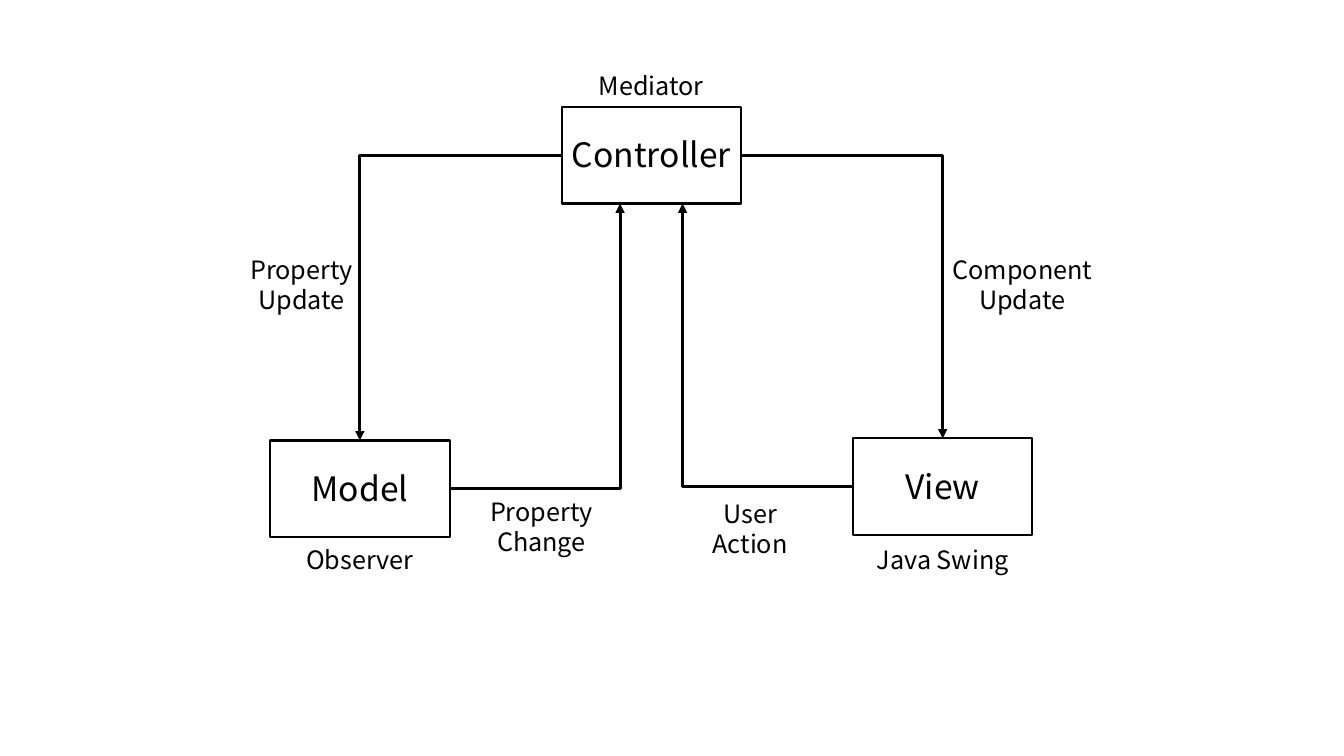
from lxml import etree
from pptx import Presentation
from pptx.dml.color import RGBColor
from pptx.enum.shapes import MSO_CONNECTOR, MSO_SHAPE
from pptx.enum.text import MSO_AUTO_SIZE, PP_ALIGN
from pptx.oxml.ns import qn
from pptx.util import Inches, Pt

COLORS = {"ink": "000000", "paper": "FFFFFF"}
FONT = "Noto Sans CJK SC"
BOX_WIDTH, BOX_HEIGHT = 1.78, 0.96
MIDDLE = 0.48  # from the top of a box to its side arrows


def color(name):
    return RGBColor.from_string(COLORS[name])


def add_text(slide, text, center, top, width=1.41, height=0.4, size=18):
    """Centred text, one paragraph for each line."""
    box = slide.shapes.add_textbox(Inches(center - width / 2), Inches(top),
                                   Inches(width), Inches(height))
    frame = box.text_frame
    frame.word_wrap = True
    frame.auto_size = MSO_AUTO_SIZE.SHAPE_TO_FIT_TEXT
    frame.text = text
    for paragraph in frame.paragraphs:
        paragraph.alignment = PP_ALIGN.CENTER
        paragraph.font.size = Pt(size)
        paragraph.font.name = FONT
        paragraph.font.color.rgb = color("ink")


def add_component(slide, left, top, name, role, role_top, role_width=1.41):
    """A named box with its role above or below it."""
    box = slide.shapes.add_shape(MSO_SHAPE.RECTANGLE, Inches(left), Inches(top),
                                 Inches(BOX_WIDTH), Inches(BOX_HEIGHT))
    box.shadow.inherit = False
    box.fill.background()
    box.line.color.rgb = color("ink")
    box.line.width = Pt(1.5)
    center = left + BOX_WIDTH / 2
    add_text(slide, name, center, top + 0.22, width=1.91, height=0.5, size=24)
    add_text(slide, role, center, role_top, width=role_width)


def add_bent_arrow(slide, start, end):
    """An arrow that runs sideways first, then up or down."""
    arrow = slide.shapes.add_connector(MSO_CONNECTOR.ELBOW,
                                       *(Inches(value) for value in (*start, *end)))
    arrow.line.color.rgb = color("ink")
    arrow.line.width = Pt(2.25)
    properties = arrow.element.spPr
    properties.find(qn("a:prstGeom")).set("prst", "bentConnector2")
    line = properties.find(qn("a:ln"))
    etree.SubElement(line, qn("a:tailEnd")).set("type", "triangle")
    etree.SubElement(properties, qn("a:effectLst"))


def add_diagram(slide, left, top):
    """Controller above, model and view below, arrows between them."""
    controller_left, controller_top = left + 2.89, top
    view_left, view_top = left + 5.78, top + 3.29
    model_top = top + 3.31
    controller_right = controller_left + BOX_WIDTH
    controller_bottom = controller_top + BOX_HEIGHT
    center = controller_left + BOX_WIDTH / 2
    model_center = left + BOX_WIDTH / 2
    view_center = view_left + BOX_WIDTH / 2

    # Components
    role_top = top + 4.29
    add_component(slide, controller_left, controller_top, "Controller",
                  "Mediator", top - 0.41)
    add_component(slide, left, model_top, "Model", "Observer", role_top)
    add_component(slide, view_left, view_top, "View", "Java Swing", role_top,
                  role_width=1.59)

    # Updates going down, changes and actions coming back
    side = controller_top + MIDDLE
    for start, end in [
        ((controller_left, side), (model_center, model_top)),
        ((controller_right, side), (view_center, view_top)),
        ((left + BOX_WIDTH, model_top + MIDDLE), (center - 0.31, controller_bottom)),
        ((view_left, view_top + MIDDLE), (center + 0.31, controller_bottom)),
    ]:
        add_bent_arrow(slide, start, end)

    # Arrow labels
    for label, label_center, label_top, width in [
        ("Property\nUpdate", left + 0.31, top + 1.41, 1.41),
        ("Property\nChange", left + 2.69, top + 3.81, 1.41),
        ("User\nAction", left + 4.76, top + 3.83, 1.41),
        ("Component\nUpdate", left + 7.46, top + 1.41, 1.69),
    ]:
        add_text(slide, label, label_center, label_top, width=width, height=0.71)


def main():
    presentation = Presentation()
    presentation.slide_width = Inches(13.33)
    presentation.slide_height = Inches(7.5)
    slide = presentation.slides.add_slide(presentation.slide_layouts[6])
    slide.background.fill.solid()
    slide.background.fill.fore_color.rgb = color("paper")
    add_diagram(slide, left=2.68, top=1.06)
    presentation.save("out.pptx")


if __name__ == "__main__":
    main()
